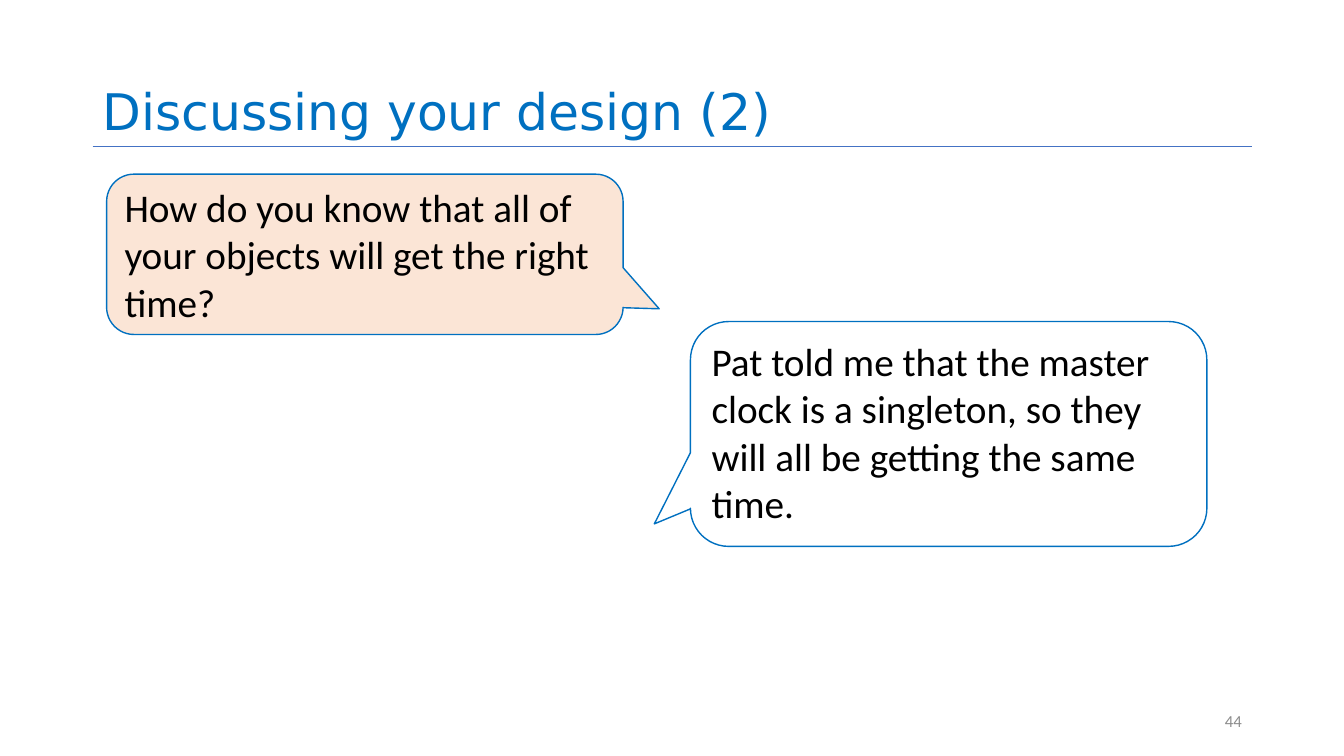
from lxml import etree
from pptx import Presentation
from pptx.dml.color import RGBColor
from pptx.enum.shapes import MSO_CONNECTOR, MSO_SHAPE
from pptx.enum.text import MSO_ANCHOR, PP_ALIGN
from pptx.oxml.ns import qn
from pptx.util import Pt

TOP, MIDDLE, BOTTOM = MSO_ANCHOR.TOP, MSO_ANCHOR.MIDDLE, MSO_ANCHOR.BOTTOM
LEFT, RIGHT = PP_ALIGN.LEFT, PP_ALIGN.RIGHT
CALLOUT = MSO_SHAPE.ROUNDED_RECTANGULAR_CALLOUT
STRAIGHT = MSO_CONNECTOR.STRAIGHT

BLUE = RGBColor(0x00, 0x70, 0xC0)
RULE_BLUE = RGBColor(0x44, 0x72, 0xC4)
PEACH = RGBColor(0xFB, 0xE5, 0xD6)
GRAY = RGBColor(0x8C, 0x8C, 0x8C)
WHITE = RGBColor(0xFF, 0xFF, 0xFF)
BLACK = RGBColor(0x00, 0x00, 0x00)


class DesignSlide:
    title_font = "DejaVu Sans"
    body_font = "Calibri"
    corner = 0.17

    def __init__(self, presentation):
        self.slide = presentation.slides.add_slide(presentation.slide_layouts[6])

    def set_text(self, shape, lines, size, color, font, anchor, align=LEFT, spacing=None):
        """Fill the shape with one paragraph for each line."""
        frame = shape.text_frame
        frame.word_wrap = True
        frame.vertical_anchor = anchor
        frame.text = "\n".join(lines)
        for paragraph in frame.paragraphs:
            paragraph.alignment = align
            paragraph.line_spacing = spacing
            paragraph.font.size = Pt(size)
            paragraph.font.name = font
            paragraph.font.color.rgb = color

    def text_box(self, box, *text_style, **paragraph_style):
        shape = self.slide.shapes.add_textbox(*map(Pt, box))
        self.set_text(shape, *text_style, **paragraph_style)

    def rule(self, left, right, y):
        line = self.slide.shapes.add_connector(STRAIGHT, Pt(left), Pt(y), Pt(right), Pt(y))
        line.line.color.rgb = RULE_BLUE
        line.line.width = Pt(0.5)
        etree.SubElement(line._element.spPr, qn("a:effectLst"))

    def callout(self, box, tip, fill, lines, anchor):
        """Draw a speech bubble; tip is the offset from its centre in box widths and heights."""
        shape = self.slide.shapes.add_shape(CALLOUT, *map(Pt, box))
        for index, value in enumerate((*tip, self.corner)):
            shape.adjustments[index] = value
        shape.shadow.inherit = False
        shape.fill.solid()
        shape.fill.fore_color.rgb = fill
        shape.line.color.rgb = BLUE
        shape.line.width = Pt(1)
        self.set_text(shape, lines, 28, BLACK, self.body_font, anchor)


def main():
    presentation = Presentation()
    presentation.slide_width, presentation.slide_height = Pt(960), Pt(540)
    design = DesignSlide(presentation)

    design.rule(66.24, 894.24, 104.4)
    design.text_box((66.24, 0, 828, 104.4), ["Discussing your design (2)"], 36, BLUE,
                    design.title_font, BOTTOM, spacing=0.9)
    design.text_box((678.24, 500.4, 216, 28.8), ["44"], 12, GRAY,
                    design.body_font, MIDDLE, align=RIGHT)
    design.callout((493.2, 229.7, 368.9, 160.6), (-0.57, 0.4), WHITE,
                   ["Pat told me that the master clock is a singleton, "
                    "so they will all be getting the same time."], TOP)
    design.callout((76.2, 124.4, 368.9, 114.5), (0.57, 0.34), PEACH,
                   ["How do you know that all of your objects will get the right", "time?"], MIDDLE)

    presentation.save("out.pptx")


if __name__ == "__main__":
    main()
